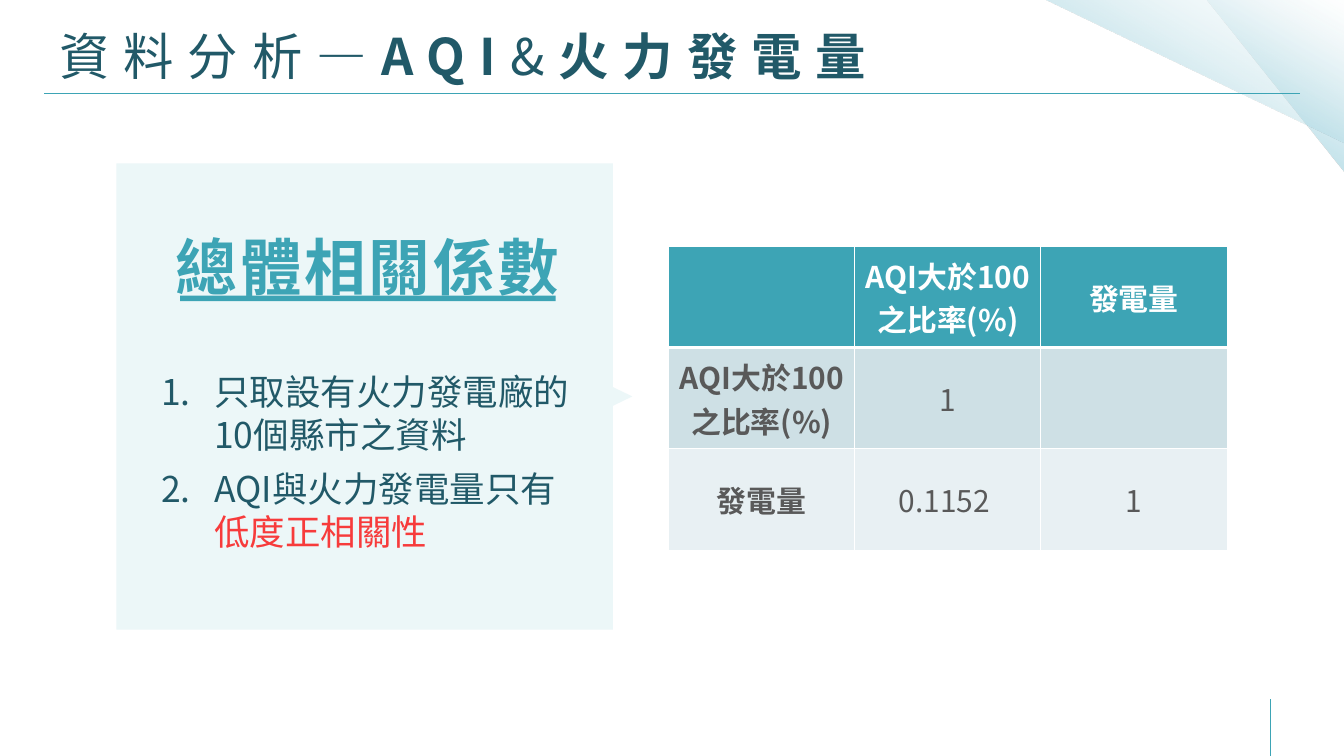
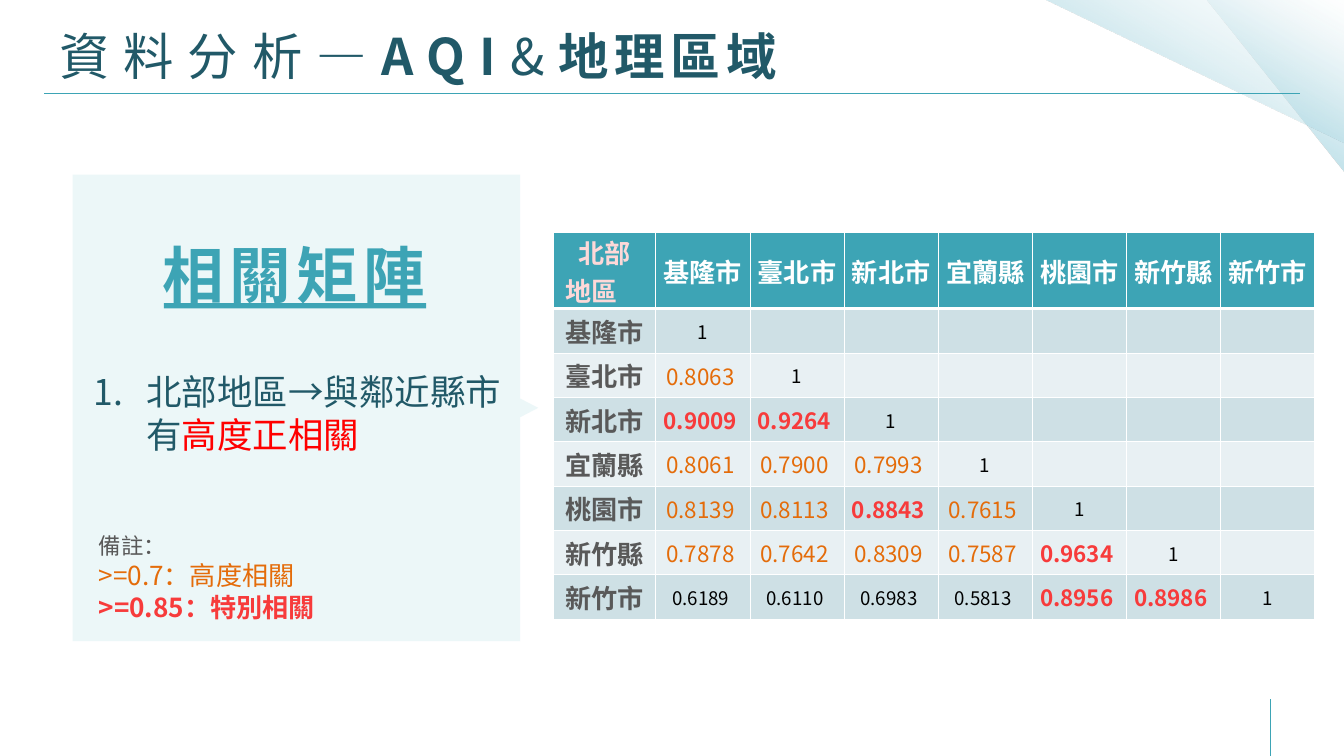
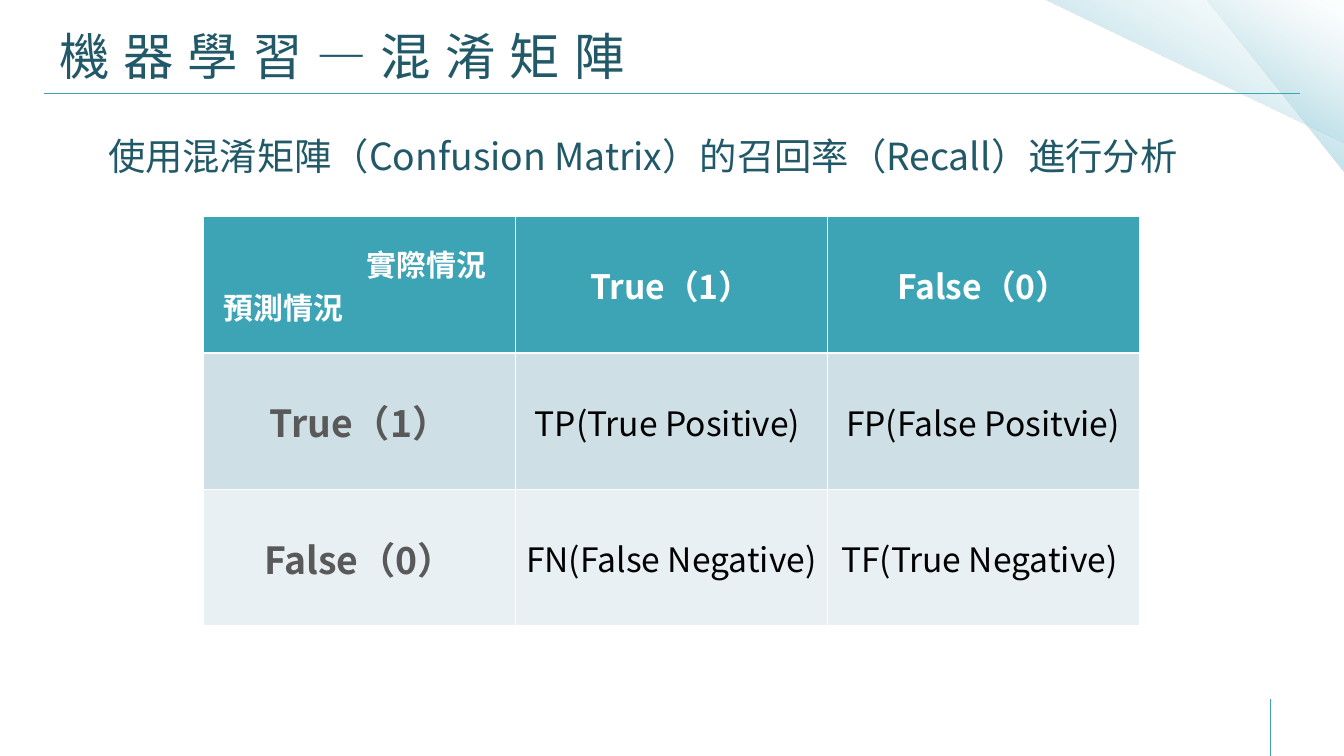
from pptx import Presentation
from pptx.dml.color import RGBColor
from pptx.enum.shapes import MSO_CONNECTOR, MSO_SHAPE
from pptx.enum.text import MSO_ANCHOR, MSO_AUTO_SIZE, PP_ALIGN
from pptx.oxml import parse_xml
from pptx.oxml.ns import nsdecls
from pptx.util import Inches, Pt

LEFT, CENTER, RIGHT = PP_ALIGN.LEFT, PP_ALIGN.CENTER, PP_ALIGN.RIGHT
MIDDLE = MSO_ANCHOR.MIDDLE
FONT = "Noto Sans CJK SC"
COLORS = {
    "teal": "3DA4B5", "navy": "215968", "gray": "595959", "black": "000000",
    "white": "FFFFFF", "pink": "FDD8D8", "red": "F73B3B", "pure_red": "FF0000",
    "orange": "E46C0A", "panel": "D7EEF1", "odd_row": "CEE0E5", "even_row": "E8F0F3",
}
FIRST_LEADING, LEADING = 1.3, 1.21

# Content: a run is (text, style overrides)
TITLE_STYLE = dict(size=54, color="navy", spacing=15)
BOLD = dict(bold=True)
TITLES = [
    [("資料分析—", {}), ("AQI", BOLD), ("&", {}), ("火力發電量", BOLD)],
    [("資料分析—", {}), ("AQI", BOLD), ("&", {}), ("地理區域", dict(bold=True, spacing=6))],
    [("機器學習—混淆矩陣", {})],
]

OVERALL_POINTS = [
    [[("只取設有火力發電廠的", {})], [("10個縣市之資料", {})]],
    [[("AQI與火力發電量只有", {})], [("低度正相關性", dict(color="red"))]],
]
OVERALL_ROWS = [
    ["", "AQI大於100之比率(%)", "發電量"],
    ["AQI大於100之比率(%)", "1", ""],
    ["發電量", "0.1152 ", "1"],
]

REGION_POINTS = [
    [[("北部地區→與鄰近縣市", {})],
     [("有", {}), ("高度正相關", dict(color="pure_red"))]],
]
HIGH, SPECIAL = 0.7, 0.85
HIGH_STYLE = dict(size=24, color="orange")
SPECIAL_STYLE = dict(size=24, color="red", bold=True)
NOTES = [
    ("備註：", dict(size=24, color="gray")),
    (f">={HIGH}：高度相關", dict(HIGH_STYLE, size=28)),
    (f">={SPECIAL}：特別相關", dict(SPECIAL_STYLE, size=28)),
]
CITIES = ["基隆市", "臺北市", "新北市", "宜蘭縣", "桃園市", "新竹縣", "新竹市"]
CORRELATIONS = [
    [],
    [0.8063],
    [0.9009, 0.9264],
    [0.8061, 0.7900, 0.7993],
    [0.8139, 0.8113, 0.8843, 0.7615],
    [0.7878, 0.7642, 0.8309, 0.7587, 0.9634],
    [0.6189, 0.6110, 0.6983, 0.5813, 0.8956, 0.8986],
]

RECALL_TEXT = "使用混淆矩陣（Confusion Matrix）的召回率（Recall）進行分析"
CONFUSION_ROWS = [
    ["實際情況\n預測情況", "True（1）", "False（0）"],
    ["True（1）", "TP(True Positive) ", "FP(False Positvie)"],
    ["False（0）", "FN(False Negative)", "TF(True Negative) "],
]


def rgb(name):
    return RGBColor.from_string(COLORS[name])


# Text
def add_run(para, text, size, color, bold=False, spacing=0):
    span = para.add_run()
    span.text = text
    span.font.size = Pt(size)
    span.font.bold = bold
    span.font.name = FONT
    span.font.color.rgb = rgb(color)
    properties = span.font._element
    properties.find("{*}latin").addnext(
        parse_xml(f'<a:ea {nsdecls("a")} typeface="{FONT}"/>'))
    if spacing:
        properties.set("spc", str(spacing * 100))


def next_para(frame, index):
    return frame.paragraphs[0] if index == 0 else frame.add_paragraph()


def add_text(slide, place, lines, **style):
    """Each line is (runs, indent, list number or None)."""
    box = slide.shapes.add_textbox(*map(Inches, place))
    frame = box.text_frame
    frame.word_wrap = True
    frame.auto_size = MSO_AUTO_SIZE.SHAPE_TO_FIT_TEXT
    for index, (runs, indent, number) in enumerate(lines):
        para = next_para(frame, index)
        looks = [dict(style, **extra) for _, extra in runs]
        leading = LEADING if index else FIRST_LEADING
        para.line_spacing = Pt(round(looks[0]["size"] * leading, 1))
        properties = para._p.get_or_add_pPr()
        properties.set("marL", str(Inches(indent)))
        if number:
            if index:
                para.space_before = Pt(12)
            properties.set("indent", str(Inches(-0.81)))
            properties.append(parse_xml(
                f'<a:buAutoNum {nsdecls("a")} type="arabicPeriod" startAt="{number}"/>'))
        for (text, _), look in zip(runs, looks):
            add_run(para, text, **look)


def add_points(slide, place, points):
    lines = [(runs, 0.79, None if row else number)
             for number, point in enumerate(points, 1)
             for row, runs in enumerate(point)]
    add_text(slide, place, lines, size=38, color="navy")


# Shapes
def add_panel(slide, left, top, right, bottom, tip):
    middle = (top + bottom) / 2
    outline = [(left, top), (right, top), (right, middle - 0.14), (right + tip, middle),
               (right, middle + 0.14), (right, bottom), (left, bottom)]
    points = [(Inches(x), Inches(y)) for x, y in outline]
    builder = slide.shapes.build_freeform(*points[0])
    builder.add_line_segments(points[1:], close=True)
    panel = builder.convert_to_shape()
    panel.shadow.inherit = False
    panel.line.fill.background()
    panel.fill.solid()
    panel.fill.fore_color.rgb = rgb("panel")
    panel.fill._xPr.find(".//{*}srgbClr").append(
        parse_xml(f'<a:alpha {nsdecls("a")} val="45000"/>'))


def add_heading(slide, place, text, spacing, underline):
    add_text(slide, place, [([(text, {})], 0.79, None)],
             size=66, color="teal", bold=True, spacing=spacing)
    bar = slide.shapes.add_shape(MSO_SHAPE.RECTANGLE, *map(Inches, underline))
    bar.shadow.inherit = False
    bar.fill.solid()
    bar.fill.fore_color.rgb = rgb("teal")
    bar.line.fill.background()


def add_corner(slide, *place):
    corner = slide.shapes.add_shape(MSO_SHAPE.RIGHT_TRIANGLE, *map(Inches, place))
    corner.rotation = 180
    corner.shadow.inherit = False
    corner.line.fill.background()
    stops = "".join(
        f'<a:gs pos="{at}000"><a:srgbClr val="{color}"><a:alpha val="{alpha}000"/></a:srgbClr></a:gs>'
        for at, color, alpha in [(0, "97D1E0", 100), (50, "AAD7E2", 44), (100, "E0F0F4", 0)])
    corner.element.spPr.find("{*}prstGeom").addnext(parse_xml(
        f'<a:gradFill {nsdecls("a")} rotWithShape="1"><a:gsLst>{stops}</a:gsLst>'
        f'<a:lin ang="{120 * 60000}" scaled="0"/></a:gradFill>'))
    return corner


def add_rule(slide, *ends):
    rule = slide.shapes.add_connector(MSO_CONNECTOR.STRAIGHT, *map(Inches, ends))
    rule.line.color.rgb = rgb("teal")
    rule.line.width = Pt(1)
    rule.element.spPr.append(parse_xml(f'<a:effectLst {nsdecls("a")}/>'))
    return rule


# Tables
def set_borders(cell, widths):
    properties = cell._tc.get_or_add_tcPr()
    for index, (side, width) in enumerate(widths.items()):
        properties.insert(index, parse_xml(
            f'<a:ln{side} {nsdecls("a")} w="{Pt(width)}"><a:solidFill>'
            f'<a:srgbClr val="{COLORS["white"]}"/></a:solidFill></a:ln{side}>'))


def add_grid(slide, left, top, widths, heights, rows, style_of):
    table = slide.shapes.add_table(
        len(rows), len(widths), Inches(left), Inches(top),
        Inches(sum(widths)), Inches(sum(heights))).table
    for column, width in zip(table.columns, widths):
        column.width = Inches(width)
    for row, height in zip(table.rows, heights):
        row.height = Inches(height)
    for r, texts in enumerate(rows):
        for c, text in enumerate(texts):
            cell = table.cell(r, c)
            cell.fill.solid()
            cell.fill.fore_color.rgb = rgb(
                "teal" if r == 0 else "odd_row" if r % 2 else "even_row")
            set_borders(cell, {"L": 1, "R": 1, "T": 3 if r == 1 else 1,
                               "B": 3 if r == 0 else 1})
            cell.vertical_anchor = MIDDLE
            cell.margin_left = cell.margin_right = cell.margin_top = Inches(0.01)
            cell.margin_bottom = 0
            if text:
                for index, line in enumerate(text.split("\n")):
                    para = next_para(cell.text_frame, index)
                    para.alignment = CENTER
                    add_run(para, line, **style_of(r, c, text))
    return table


def overall_style(r, c, text):
    return dict(size=32, color="gray" if r else "white", bold=r == 0 or c == 0)


def region_style(r, c, text):
    if r == 0 or c == 0:
        color = "gray" if r else "white" if c else "pink"
        return dict(size=28, color=color, bold=True)
    if r != c and float(text) >= HIGH:
        return SPECIAL_STYLE if float(text) >= SPECIAL else HIGH_STYLE
    return dict(size=20, color="black")


def confusion_style(r, c, text):
    if r == 0:
        return dict(size=36 if c else 32, color="white", bold=True)
    if c == 0:
        return dict(size=40, color="gray", bold=True)
    return dict(size=36, color="black")


# Deck, with the decoration kept on the layout
def add_page(deck, layout, runs):
    page = deck.slides.add_slide(layout)
    title = page.shapes.title
    title.left, title.top, title.width, title.height = map(Inches, (0.7, 0.21, 18.31, 1.23))
    frame = title.text_frame
    frame.auto_size = MSO_AUTO_SIZE.NONE
    frame.vertical_anchor = MIDDLE
    frame.margin_left = frame.margin_right = Inches(0.18)
    frame.margin_top = frame.margin_bottom = Inches(0.09)
    para = frame.paragraphs[0]
    para.alignment = LEFT
    for text, extra in runs:
        add_run(para, text, **dict(TITLE_STYLE, **extra))
    return page


def decorate(layout, page):
    for holder in list(layout.placeholders)[1:]:
        holder.element.getparent().remove(holder.element)
    for part in [add_corner(page, 17.96, 0, 2.04, 2.57),
                 add_corner(page, 15.54, 0, 4.48, 2.13),
                 add_rule(page, 0.66, 1.39, 19.34, 1.39),
                 add_rule(page, 18.91, 11.25, 18.91, 10.4)]:
        layout.shapes.element.append(part.element)


def main():
    deck = Presentation()
    deck.slide_width, deck.slide_height = Inches(20), Inches(11.25)
    layout = deck.slide_layouts[5]
    overall, region, confusion = [add_page(deck, layout, runs) for runs in TITLES]
    decorate(layout, overall)

    # Overall correlation
    add_grid(overall, 9.95, 3.66, [2.77] * 3, [1.51] * 3, OVERALL_ROWS, overall_style)
    add_panel(overall, 1.73, 2.43, 9.12, 9.37, 0.29)
    add_points(overall, (2.3, 5.41, 6.35, 2.83), OVERALL_POINTS)
    add_heading(overall, (1.73, 3.26, 6.8, 1.21), "總體相關係數", 3, (2.68, 4.4, 5.59, 0.08))

    # Correlation matrix of the northern region
    rows = [["北部\n地區　"] + CITIES]
    for city, values in zip(CITIES, CORRELATIONS):
        cells = [city] + [f"{value:.4f} " for value in values] + ["1"]
        rows.append(cells + [""] * (len(rows[0]) - len(cells)))
    add_grid(region, 8.23, 3.46, [1.53] + [1.4] * 7, [0.59] + [0.66] * 7, rows, region_style)
    add_panel(region, 1.08, 2.6, 7.74, 9.54, 0.27)
    add_points(region, (1.29, 5.41, 6.35, 1.38), REGION_POINTS)
    add_heading(region, (1.53, 3.38, 5.36, 1.21), "相關矩陣", 6, (2.44, 4.51, 3.9, 0.08))
    add_text(region, (1.37, 7.84, 3.69, 1.45), [([note], 0, None) for note in NOTES])

    # Confusion matrix
    add_text(confusion, (1.51, 1.88, 16.98, 0.77), [([(RECALL_TEXT, {})], 0, None)],
             size=40, color="navy")
    table = add_grid(confusion, 3.03, 3.22, [4.64] * 3, [2.03] * 3,
                     CONFUSION_ROWS, confusion_style)
    corner = table.cell(0, 0)
    corner.margin_left, corner.margin_right = Inches(0.3), Inches(0.43)
    for para, side in zip(corner.text_frame.paragraphs, (RIGHT, LEFT)):
        para.alignment = side

    deck.save("out.pptx")


if __name__ == "__main__":
    main()
